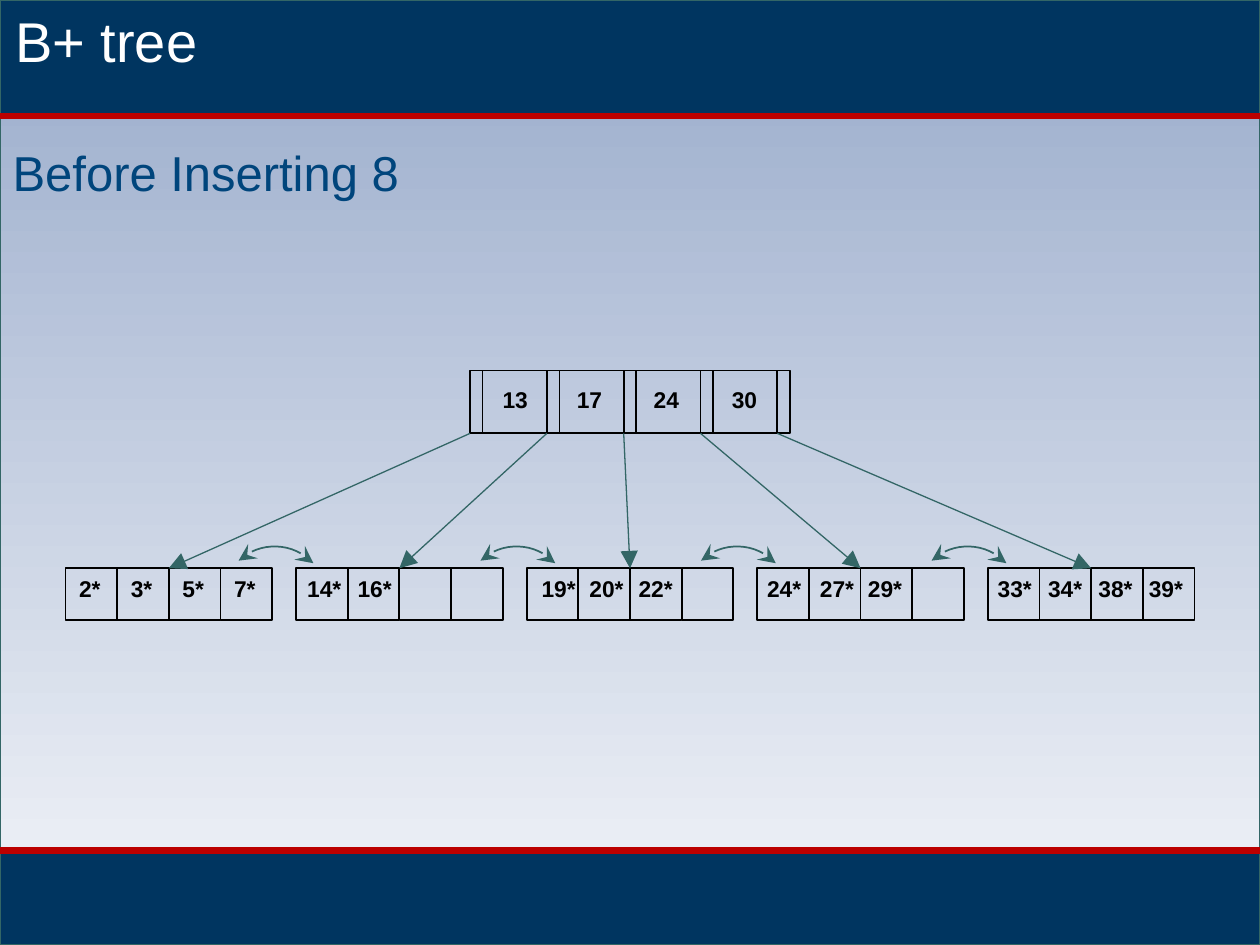
import math
from pptx import Presentation
from pptx import util as u
from pptx.dml.color import RGBColor
from pptx.enum import shapes, text
from pptx.oxml.ns import qn
from lxml import etree

NAVY = RGBColor(0x00, 0x35, 0x60)
BLUE = RGBColor(0x00, 0x45, 0x7C)
RED = RGBColor(0xBC, 0x00, 0x00)
TEAL = RGBColor(0x33, 0x66, 0x66)
BLACK = RGBColor(0, 0, 0)
WHITE = RGBColor(0xFF, 0xFF, 0xFF)
PALE_TOP = RGBColor(0x99, 0xAB, 0xCB)
PALE_BOTTOM = RGBColor(0xF3, 0xF5, 0xF9)

ROOT_LEFT, ROOT_TOP, ROOT_STEP, ROOT_HEIGHT, POINTER = 3.73, 2.94, 0.61, 0.5, 0.1
LEAF_LEFT, LEAF_TOP, LEAF_STEP, CELL = 0.52, 4.51, 1.83, 0.41
ARC_SIZE, ARC_TOP, ARC_STEPS = 0.42, 4.25, 16

ROOT_KEYS = [("13", 3.89), ("17", 4.48), ("24", 5.09), ("30", 5.71)]
LEAF_ENTRIES = [
    ("2*", 0.53), ("3*", 0.94), ("5*", 1.35), ("7*", 1.76),
    ("14*", 2.34), ("16*", 2.74),
    ("19*", 4.2), ("20*", 4.58), ("22*", 4.97),
    ("24*", 5.99), ("27*", 6.41), ("29*", 6.79),
    ("33*", 7.82), ("34*", 8.22), ("38*", 8.62), ("39*", 9.02),
]


def write(box, content, size=13, color=BLACK, bold=False, wrap=False):
    frame = box.text_frame
    frame.word_wrap = wrap
    frame.vertical_anchor = text.MSO_ANCHOR.TOP
    para = frame.paragraphs[0]
    para.alignment = text.PP_ALIGN.LEFT
    para.space_before = u.Pt(0)
    span = para.add_run()
    span.text = content
    span.font.name = "Arial"
    span.font.size = u.Pt(size)
    span.font.bold = bold
    span.font.color.rgb = color


def connect(start, end, color, width):
    line = page.shapes.add_connector(
        shapes.MSO_CONNECTOR.STRAIGHT, *[u.Inches(value) for value in start + end])
    line.line.color.rgb = color
    line.line.width = u.Pt(width)
    etree.SubElement(line._element.spPr, qn("a:effectLst"))
    return line


deck = Presentation()
deck.slide_width, deck.slide_height = u.Inches(10), u.Inches(7.5)
page = deck.slides.add_slide(deck.slide_layouts[1])

for top, height, color in [(0, 7.5, None), (6.75, 0.75, NAVY), (0, 0.92, NAVY)]:
    band = page.shapes.add_shape(
        shapes.MSO_SHAPE.RECTANGLE, 0, u.Inches(top), u.Inches(10), u.Inches(height))
    band.shadow.inherit = False
    band.line.color.rgb = TEAL
    band.line.width = u.Pt(0.75)
    if color is None:
        band.fill.gradient()
        band.fill.gradient_angle = 270
        for stop, shade in zip(band.fill.gradient_stops, (PALE_TOP, PALE_BOTTOM)):
            stop.color.rgb = shade
    else:
        band.fill.solid()
        band.fill.fore_color.rgb = color

for top in (0.92, 6.75):
    connect((0, top), (10, top), RED, 3.75)

title, subtitle = page.placeholders
for box, content, left, top, width, height, size, color in [
    (title, "B+ tree", 0.02, 0, 9.98, 0.64, 32, WHITE),
    (subtitle, "Before Inserting 8", 0, 1.08, 10, 0.57, 28, BLUE),
]:
    box.left, box.top = u.Inches(left), u.Inches(top)
    box.width, box.height = u.Inches(width), u.Inches(height)
    box._element.getparent().append(box._element)
    properties = box.text_frame.paragraphs[0]._p.get_or_add_pPr()
    properties.set("marL", "0")
    properties.set("indent", "0")
    etree.SubElement(properties, qn("a:buNone"))
    write(box, content, size=size, color=color, wrap=True)

pointer_lefts = [ROOT_LEFT + ROOT_STEP * index for index in range(5)]
leaf_lefts = [LEAF_LEFT + LEAF_STEP * index for index in range(5)]
root_bottom = ROOT_TOP + ROOT_HEIGHT

cells = [(left, ROOT_TOP, ROOT_STEP, ROOT_HEIGHT) for left in pointer_lefts[:-1]]
cells.append((pointer_lefts[-1], ROOT_TOP, POINTER, ROOT_HEIGHT))
cells += [(left + CELL * column, LEAF_TOP, CELL, CELL)
          for left in leaf_lefts for column in range(4)]
for bounds in cells:
    cell = page.shapes.add_shape(
        shapes.MSO_SHAPE.RECTANGLE, *[u.Inches(value) for value in bounds])
    cell.shadow.inherit = False
    cell.fill.background()
    cell.line.color.rgb = BLACK
    cell.line.width = u.Pt(1)

for left in pointer_lefts[:-1]:
    connect((left + POINTER, ROOT_TOP), (left + POINTER, root_bottom), BLACK, 1)

labels = [(key, left, 3.01, 0.4) for key, left in ROOT_KEYS]
labels += [(entry, left, LEAF_TOP, 0.37 if len(entry) == 2 else 0.47)
           for entry, left in LEAF_ENTRIES]
for content, left, top, width in labels:
    box = page.shapes.add_textbox(
        u.Inches(left), u.Inches(top), u.Inches(width), u.Inches(0.32))
    write(box, content, bold=True)

for left in (1.98, 3.9, 5.65, 7.48):
    angles = [math.pi / 2 * step / ARC_STEPS for step in range(ARC_STEPS + 1)]
    points = [(u.Inches(left + ARC_SIZE * math.sin(angle)),
               u.Inches(ARC_TOP + ARC_SIZE * (1 - math.cos(angle)))) for angle in angles]
    builder = page.shapes.build_freeform(*points[0])
    builder.add_line_segments(points[1:], close=False)
    arc = builder.convert_to_shape()
    arc.rotation = 317
    arc.shadow.inherit = False
    arc.fill.background()
    arc.line.color.rgb = TEAL
    arc.line.width = u.Pt(1)
    for end in ("a:headEnd", "a:tailEnd"):
        etree.SubElement(arc.line._get_or_add_ln(), qn(end), type="stealth", w="lg", len="lg")

for pointer, leaf in zip(pointer_lefts, leaf_lefts):
    arrow = connect((pointer, root_bottom), (leaf + 2 * CELL, LEAF_TOP), TEAL, 0.75)
    etree.SubElement(arrow.line._get_or_add_ln(), qn("a:tailEnd"), type="triangle", w="lg", len="lg")

deck.save("out.pptx")
